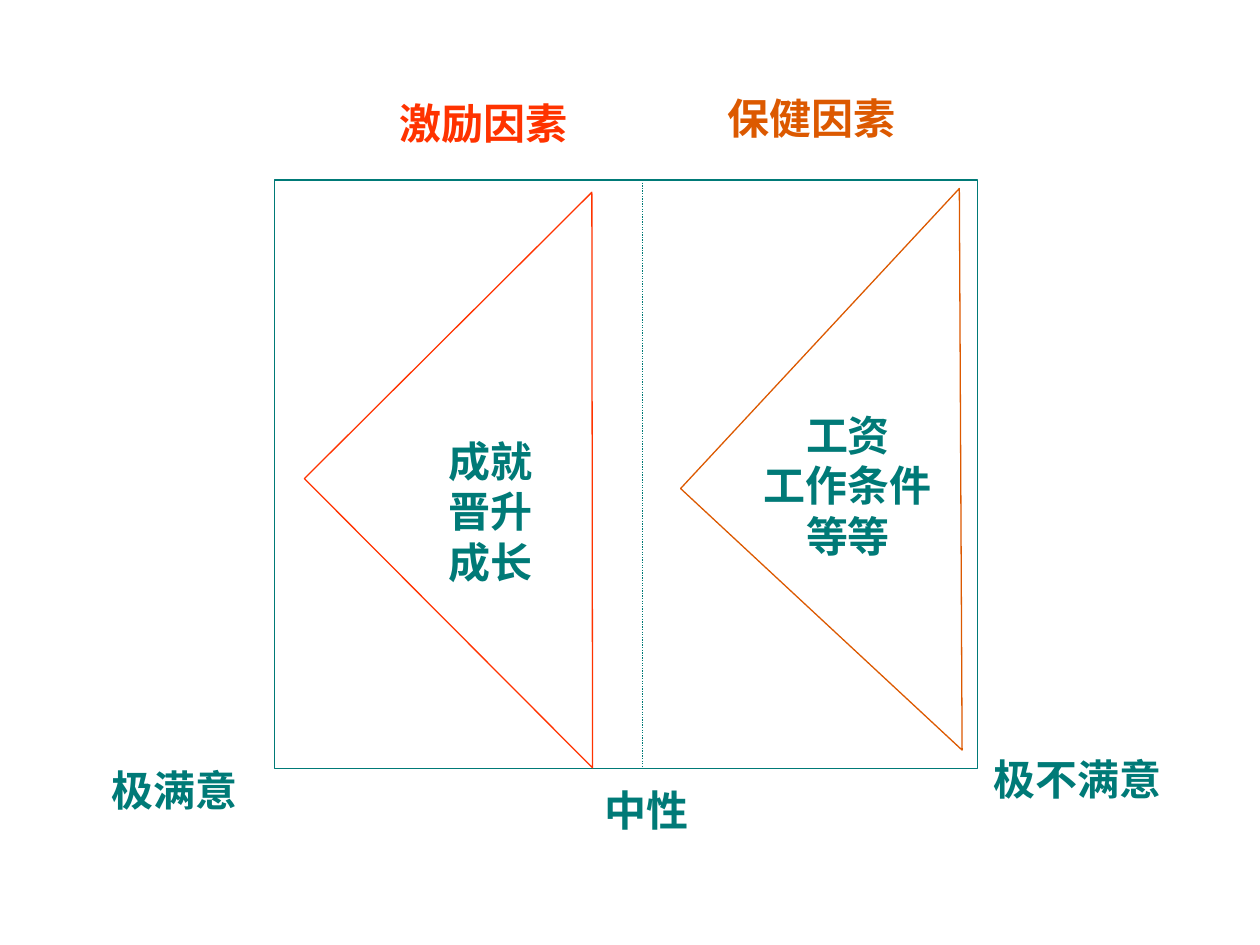
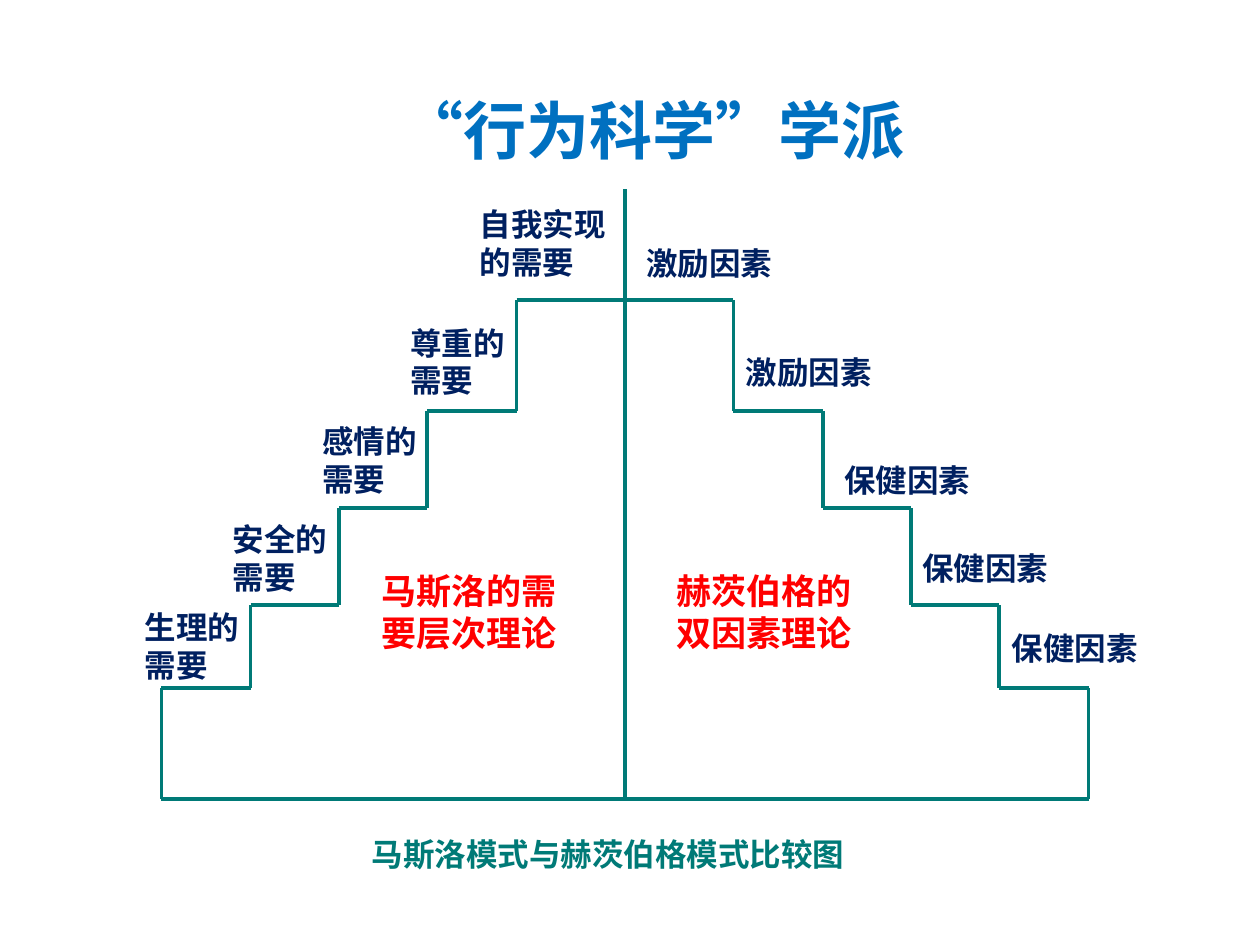
"""Build two slides on the two-factor theory and the hierarchy of needs."""
from dataclasses import dataclass
from typing import NamedTuple

from lxml.etree import SubElement
from pptx import Presentation
from pptx.dml.color import RGBColor
from pptx.enum.dml import MSO_LINE_DASH_STYLE as Dash
from pptx.enum.lang import MSO_LANGUAGE_ID as Lang
from pptx.enum.shapes import MSO_CONNECTOR as Link, MSO_SHAPE as Preset
from pptx.enum.text import MSO_ANCHOR as Anchor, MSO_AUTO_SIZE as Fit, PP_ALIGN as Align
from pptx.oxml.ns import qn
from pptx.util import Pt

EMU_PER_PX = 9144


@dataclass(frozen=True)
class Theme:
    """Colours, fonts and sizes shared by the slides."""
    teal: str = "007A77"
    motivator: str = "FF3300"
    hygiene: str = "DC5900"
    heading: str = "0070C0"
    navy: str = "002060"
    red: str = "FF0000"
    white: str = "FFFFFF"
    cjk: str = "Noto Sans CJK SC"
    serif: str = "Times New Roman"
    sans: str = "Calibri"
    title_size: int = 36
    diagram_size: int = 24
    theory_size: int = 20
    label_size: int = 18
    leading: float = 1.2
    thin: float = 0.75
    thick: float = 2


class Box(NamedTuple):
    """Position and size in px."""
    left: int
    top: int
    width: int
    height: int


class Caption(NamedTuple):
    """Wording with its place, colour and size."""
    text: str
    box: Box
    color: str
    size: int


class Triangle(NamedTuple):
    """A turned right triangle."""
    box: Box
    rotation: float
    color: str


THEME = Theme()
TITLE = Caption("“行为科学”学派", Box(75, 68, 836, 77), THEME.heading, THEME.title_size)

FRAME = Box(218, 143, 558, 467)
NEUTRAL_X = 510
TRIANGLES = [
    Triangle(Box(308, 220, 324, 322), 45.1, THEME.motivator),
    Triangle(Box(610, 210, 305, 325), 42.9, THEME.hygiene),
]
FACTOR_CAPTIONS = [
    Caption(text, Box(*place), color, THEME.diagram_size) for text, place, color in (
        ("成就\n晋升\n成长", (327, 293, 124, 225), THEME.teal),
        ("工资\n工作条件\n等等", (602, 277, 142, 216), THEME.teal),
        ("激励因素", (276, 68, 216, 58), THEME.motivator),
        ("保健因素", (535, 60, 218, 67), THEME.hygiene),
        ("极满意", (51, 602, 175, 50), THEME.teal),
        ("中性", (451, 618, 125, 50), THEME.teal),
        ("极不满意", (801, 593, 108, 50), THEME.teal),
    )
]

AXIS_X, AXIS_TOP, BASE_Y = 496, 150, 634
STEP_EDGES = [128, 199, 269, 339, 410, AXIS_X]
STEP_TOPS = [546, 480, 403, 326, 238]
NEEDS = [
    ("自我实现的需要", Box(371, 158, 133, 70)),
    ("安全的需要", Box(175, 408, 117, 70)),
    ("感情的需要", Box(246, 330, 117, 70)),
    ("尊重的需要", Box(316, 252, 117, 70)),
    ("生理的需要", Box(105, 478, 117, 70)),
]
FACTORS = [
    ("保健因素", Box(793, 494, 148, 40)),
    ("激励因素", Box(503, 189, 148, 40)),
    ("激励因素", Box(582, 275, 148, 40)),
    ("保健因素", Box(660, 361, 148, 40)),
    ("保健因素", Box(722, 431, 148, 40)),
]
THEORY_CAPTIONS = [
    Caption("马斯洛模式与赫茨伯格模式比较图", Box(285, 658, 531, 40), THEME.teal, THEME.label_size),
    Caption("马斯洛的需要层次理论", Box(293, 447, 164, 77), THEME.red, THEME.theory_size),
    Caption("赫茨伯格的双因素理论", Box(527, 447, 164, 77), THEME.red, THEME.theory_size),
]


def px(length: int) -> int:
    """Turn px into EMU."""
    return length * EMU_PER_PX


def place(box: Box) -> list[int]:
    """Turn a box into EMU values."""
    return [px(length) for length in box]


def rgb(color: str) -> RGBColor:
    """Turn a hex string into a colour."""
    return RGBColor.from_string(color)


def write_text(frame, text: str, *, color: str, size: int, font: str,
               align: Align = Align.LEFT, anchor: Anchor = Anchor.TOP,
               wrap: bool = True, side_inset: int = 10) -> None:
    """Fill a text frame with formatted lines."""
    frame.auto_size = Fit.NONE
    frame.word_wrap = wrap
    frame.vertical_anchor = anchor
    frame.margin_left = frame.margin_right = px(side_inset)
    frame.margin_top = frame.margin_bottom = px(5)
    for number, line in enumerate(text.split("\n")):
        paragraph = frame.add_paragraph() if number else frame.paragraphs[0]
        paragraph.alignment = align
        paragraph.line_spacing = Pt(size * THEME.leading)
        run = paragraph.add_run()
        run.text = line
        run.font.name, run.font.size, run.font.bold = font, Pt(size), True
        run.font.color.rgb = rgb(color)
        run.font.language_id = Lang.SIMPLIFIED_CHINESE
        east_asian = SubElement(run.font._element, qn("a:ea"))
        east_asian.set("typeface", THEME.cjk)


def draw_shape(slide, preset: Preset, box: Box, *, fill: str | None = None,
               line: str | None = None, rotation: float = 0):
    """Draw a preset shape with an optional fill and outline."""
    shape = slide.shapes.add_shape(preset, *place(box))
    shape.shadow.inherit = False
    shape.rotation = rotation
    if fill:
        shape.fill.solid()
        shape.fill.fore_color.rgb = rgb(fill)
    else:
        shape.fill.background()
    if line:
        shape.line.color.rgb = rgb(line)
        shape.line.width = Pt(THEME.thin)
    else:
        shape.line.fill.background()
    return shape


def draw_line(slide, start: tuple[int, int], end: tuple[int, int], width: float,
              dash: Dash | None = None) -> None:
    """Draw a straight teal line."""
    line = slide.shapes.add_connector(Link.STRAIGHT, *map(px, (*start, *end)))
    line.line.color.rgb = rgb(THEME.teal)
    line.line.width = Pt(width)
    if dash:
        line.line.dash_style = dash
    SubElement(line._element.spPr, qn("a:effectLst"))


def draw_caption(slide, caption: Caption, **text_format) -> None:
    """Draw a caption in a text box."""
    text_box = slide.shapes.add_textbox(*place(caption.box))
    write_text(text_box.text_frame, caption.text, color=caption.color,
               size=caption.size, **text_format)


def draw_label(slide, text: str, box: Box) -> None:
    """Draw a white label beside a step."""
    label = draw_shape(slide, Preset.RECTANGLE, box, fill=THEME.white)
    write_text(label.text_frame, text, color=THEME.navy, size=THEME.label_size, font=THEME.cjk)


def draw_title(slide, title: Caption) -> None:
    """Place and fill the title placeholder with a hanging indent."""
    heading = slide.shapes.title
    heading.left, heading.top, heading.width, heading.height = place(title.box)
    write_text(heading.text_frame, title.text, color=title.color, size=title.size,
               font=THEME.cjk, align=Align.CENTER)
    properties = heading.text_frame.paragraphs[0]._p.get_or_add_pPr()
    properties.set("marL", str(px(81)))
    properties.set("indent", str(px(-31)))


def draw_stairs(slide) -> None:
    """Draw the stairs on both sides of the axis."""
    outline = [(AXIS_X, BASE_Y), (STEP_EDGES[0], BASE_Y)]
    for left, right, top in zip(STEP_EDGES, STEP_EDGES[1:], STEP_TOPS):
        outline += [(left, top), (right, top)]
    mirrored = [(2 * AXIS_X - x, y) for x, y in outline]
    for side in (outline, mirrored):
        for start, end in zip(side, side[1:]):
            draw_line(slide, start, end, THEME.thick)
    draw_line(slide, (AXIS_X, AXIS_TOP), (AXIS_X, BASE_Y), THEME.thick)


def build_two_factors(deck) -> None:
    """Build the satisfaction diagram."""
    slide = deck.slides.add_slide(deck.slide_layouts[6])
    draw_shape(slide, Preset.RECTANGLE, FRAME, line=THEME.teal)
    for triangle in TRIANGLES:
        draw_shape(slide, Preset.RIGHT_TRIANGLE, triangle.box, line=triangle.color,
                   rotation=triangle.rotation)
    draw_line(slide, (NEUTRAL_X, FRAME.top), (NEUTRAL_X, FRAME.top + FRAME.height),
              THEME.thin, Dash.ROUND_DOT)
    for caption in FACTOR_CAPTIONS:
        draw_caption(slide, caption, font=THEME.serif, align=Align.CENTER,
                     anchor=Anchor.MIDDLE, wrap=False, side_inset=0)


def build_comparison(deck) -> None:
    """Build the comparison of needs and factors."""
    slide = deck.slides.add_slide(deck.slide_layouts[5])
    draw_title(slide, TITLE)
    for text, box in NEEDS + FACTORS:
        draw_label(slide, text, box)
    draw_stairs(slide)
    for caption in THEORY_CAPTIONS:
        draw_caption(slide, caption, font=THEME.sans)


def main() -> None:
    """Build and save the deck."""
    deck = Presentation()
    deck.slide_width, deck.slide_height = px(1000), px(750)
    build_two_factors(deck)
    build_comparison(deck)
    deck.save("out.pptx")


if __name__ == "__main__":
    main()
